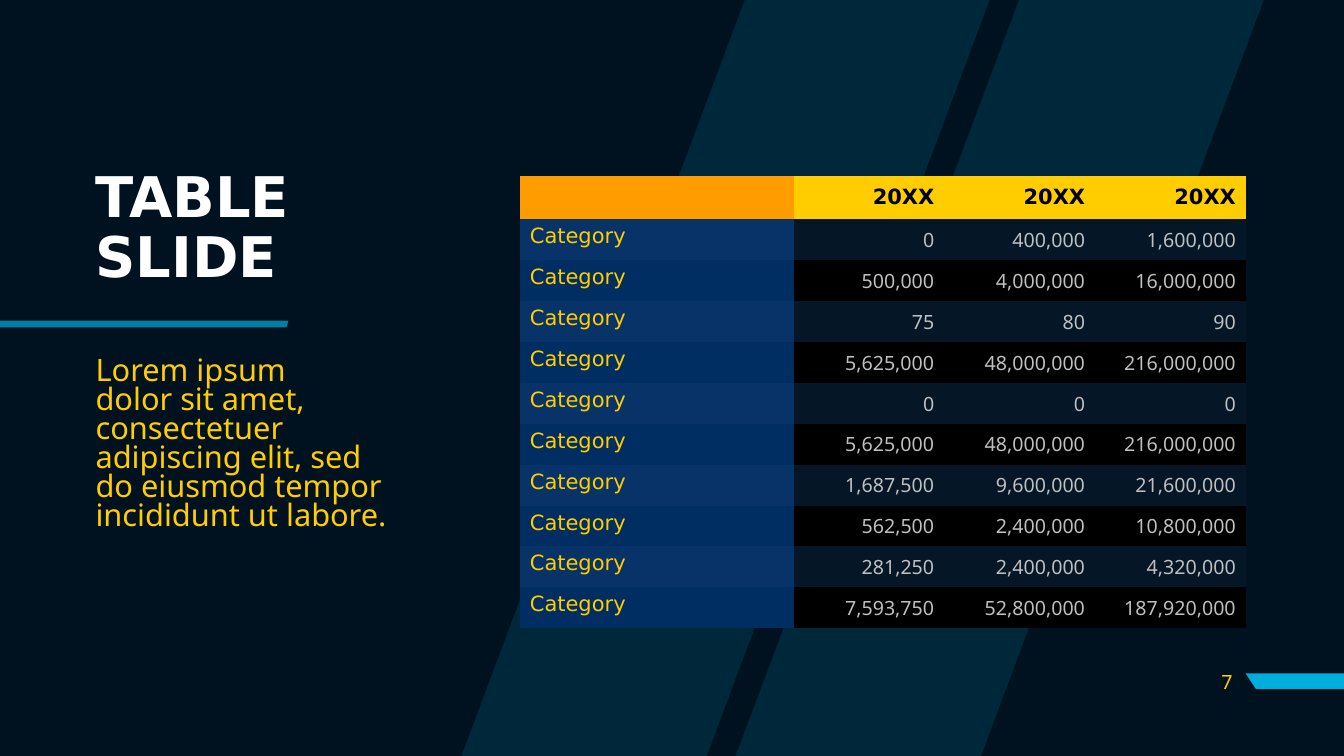
from lxml.etree import SubElement
from pptx import Presentation
from pptx.dml.color import RGBColor as RGB
from pptx.enum.text import MSO_ANCHOR as ANCHOR, PP_ALIGN as ALIGN
from pptx.oxml.ns import qn
from pptx.util import Cm, Pt

COLORS = {
    "night": "00111F", "cyan": "00AEDE", "white": "FFFFFF", "yellow": "FFCD00",
    "orange": "FF9D00", "black": "000000", "grey": "BFBFBF",
    "navy": "002E62", "navy_band": "083368", "night_band": "051726",
}
FORMATS = {
    "title": {"size": Pt(40), "name": "DejaVu Sans", "bold": True, "color": "white"},
    "body": {"size": Pt(22), "name": "Noto Sans", "bold": False, "color": "yellow"},
    "year": {"size": Pt(15), "name": "DejaVu Sans", "bold": True, "color": "black"},
    "category": {"size": Pt(15), "name": "DejaVu Sans", "bold": False, "color": "yellow"},
    "amount": {"size": Pt(14), "name": "Noto Sans", "bold": False, "color": "grey"},
    "number": {"size": Pt(14), "name": "Noto Sans", "bold": False, "color": "yellow"},
}
NO_GRID_STYLE = "{2D5ABB26-0587-4C30-8999-92F81FD0307C}"
WIDTH, HEIGHT = 33.87, 19.05
YEARS = ["20XX", "20XX", "20XX"]
AMOUNTS = [
    ["0", "400,000", "1,600,000"],
    ["500,000", "4,000,000", "16,000,000"],
    ["75", "80", "90"],
    ["5,625,000", "48,000,000", "216,000,000"],
    ["0", "0", "0"],
    ["5,625,000", "48,000,000", "216,000,000"],
    ["1,687,500", "9,600,000", "21,600,000"],
    ["562,500", "2,400,000", "10,800,000"],
    ["281,250", "2,400,000", "4,320,000"],
    ["7,593,750", "52,800,000", "187,920,000"],
]


class SlideBuilder:
    """Hold the style and the current slide, and add elements to it."""

    def __init__(self, slide):
        self.slide = slide

    def paint(self, fill, color):
        fill.solid()
        fill.fore_color.rgb = RGB.from_string(COLORS[color])

    def outline(self, contours, opacity=100):
        (start, *_), *_ = contours
        builder = self.slide.shapes.build_freeform(*map(Cm, start))
        for index, contour in enumerate(contours):
            first, *rest = [(Cm(x), Cm(y)) for x, y in contour]
            if index:
                builder.move_to(*first)
            builder.add_line_segments(rest, close=True)
        shape = builder.convert_to_shape()
        shape.shadow.inherit = False
        self.paint(shape.fill, "cyan")
        shape.line.fill.background()
        if opacity < 100:
            tone = next(shape.element.iter(qn("a:srgbClr")))
            SubElement(tone, qn("a:alpha"), val=str(opacity * 1000))

    def fill_text(self, frame, lines, style, **layout):
        paragraph = frame.paragraphs[0]
        for name, value in layout.items():
            setattr(paragraph, name, value)
        for index, line in enumerate(lines):
            if index:
                paragraph.add_line_break()
            run = paragraph.add_run()
            run.text = line
            for name, value in FORMATS[style].items():
                if name == "color":
                    run.font.color.rgb = RGB.from_string(COLORS[value])
                else:
                    setattr(run.font, name, value)

    def text(self, box, lines, style, anchor=ANCHOR.MIDDLE, margin_right=Cm(0.25), **layout):
        frame = self.slide.shapes.add_textbox(*map(Cm, box)).text_frame
        frame.word_wrap = True
        frame.vertical_anchor = anchor
        frame.margin_right = margin_right
        self.fill_text(frame, lines, style, **layout)

    def cell(self, cell, text, style, fill):
        self.paint(cell.fill, fill)
        if style == "category":
            self.fill_text(cell.text_frame, [text], style)
        elif text:
            cell.vertical_anchor = ANCHOR.MIDDLE
            self.fill_text(cell.text_frame, [text], style, alignment=ALIGN.RIGHT)

    def table(self, left, top, widths, heights, years, amounts):
        box = (left, top, sum(widths), sum(heights))
        frame = self.slide.shapes.add_table(len(heights), len(widths), *map(Cm, box))
        next(frame.element.iter(qn("a:tableStyleId"))).text = NO_GRID_STYLE
        table = frame.table
        table.horz_banding = False
        for column, width in zip(table.columns, widths):
            column.width = Cm(width)
        for row, height in zip(table.rows, heights):
            row.height = Cm(height)
        for col, year in enumerate(["", *years]):
            self.cell(table.cell(0, col), year, "year", "yellow" if col else "orange")
        for row, values in enumerate(amounts, 1):
            category_fill, amount_fill = (
                ("navy_band", "night_band") if row % 2 else ("navy", "black"))
            self.cell(table.cell(row, 0), "Category", "category", category_fill)
            for col, value in enumerate(values, 1):
                self.cell(table.cell(row, col), value, "amount", amount_fill)


def main():
    deck = Presentation()
    deck.slide_width, deck.slide_height = Cm(WIDTH), Cm(HEIGHT)
    slide = deck.slides.add_slide(deck.slide_layouts[6])
    builder = SlideBuilder(slide)
    builder.paint(slide.background.fill, "night")

    stripe = [(18.77, 0), (24.94, 0), (17.81, HEIGHT), (11.63, HEIGHT)]
    builder.outline([[(x + shift, y) for x, y in stripe] for shift in (6.91, 0)], 15)
    builder.outline([[(31.39, 16.97), (WIDTH, 16.97), (WIDTH, 17.36), (31.65, 17.36)]])
    builder.outline([[(0, 8.08), (7.27, 8.08), (7.22, 8.25), (0, 8.25)]], 70)

    builder.text((2.16, 3.66, 7.85, 4.24), ["TABLE", "SLIDE"], "title", line_spacing=0.9)
    builder.text(
        (2.16, 8.89, 7.85, 5.99),
        ["Lorem ipsum", "dolor sit amet, consectetuer adipiscing elit, sed",
         "do eiusmod tempor incididunt ut labore."],
        "body", ANCHOR.TOP, Cm(0), line_spacing=0.79, space_before=Pt(10))
    builder.table(13.1, 4.43, [6.9] + [3.8] * len(YEARS),
                  [1.1] + [1.03] * len(AMOUNTS), YEARS, AMOUNTS)
    builder.text((29.79, 16.66, 1.52, 1.02), ["7"], "number", alignment=ALIGN.RIGHT)
    deck.save("out.pptx")


if __name__ == "__main__":
    main()
